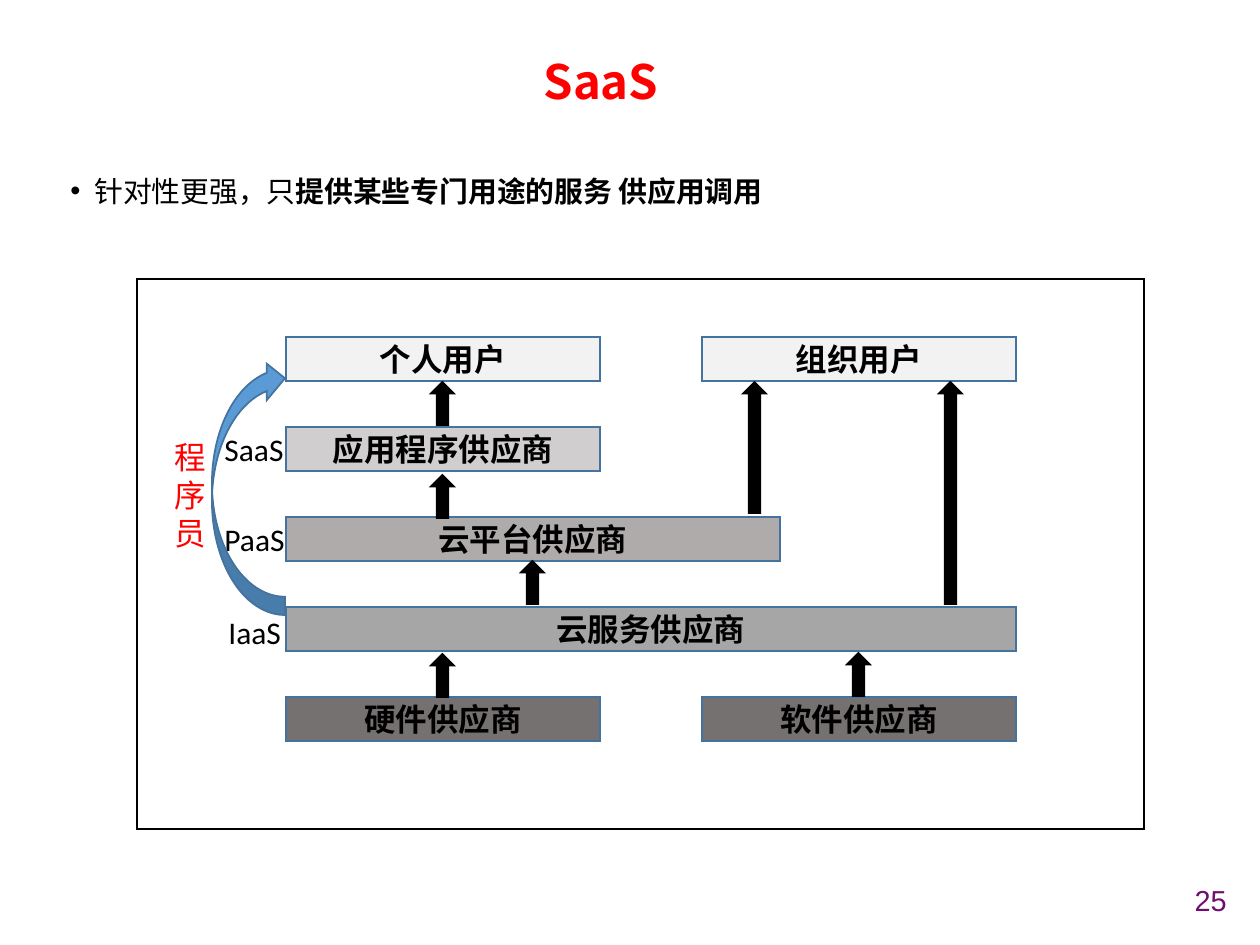
from dataclasses import dataclass

from lxml.etree import SubElement
from pptx import Presentation
from pptx.dml.color import RGBColor as Rgb
from pptx.enum.shapes import MSO_SHAPE as Kind
from pptx.enum.text import MSO_ANCHOR as Anchor, MSO_AUTO_SIZE as Auto, PP_ALIGN as Align
from pptx.oxml.ns import qn
from pptx.util import Emu, Pt

SCALE = 914400 / 126


def px(n):
    return Emu(round(n * SCALE))


@dataclass(frozen=True)
class Theme:
    black: str = "000000"
    white: str = "FFFFFF"
    red: str = "FF0000"
    edge: str = "43739E"
    blue: str = "5B9BD5"
    purple: str = "6F0E6F"
    user: str = "F2F2F2"
    app: str = "D0CECE"
    cloud: str = "AFABAB"
    infra: str = "A6A6A6"
    source: str = "767171"
    head: float = 27
    label: float = 18
    body: float = 16.5
    latin: str = "Calibri"
    han: str = "Noto Sans CJK SC"
    plain: str = "Arial"


def write(para, text, size, color, font, han, bold=False):
    run = para.add_run()
    run.text = text
    run.font.size = Pt(size)
    run.font.bold = bold
    run.font.name = font
    run.font.color.rgb = Rgb.from_string(color)
    SubElement(run.font._element, qn("a:ea"), typeface=han)


class Deck:
    def __init__(self, theme):
        self.theme = theme
        self.prs = Presentation()
        self.prs.slide_width, self.prs.slide_height = px(1260), px(945)
        self.slide = self.prs.slides.add_slide(self.prs.slide_layouts[5])

    def put(self, para, text, **style):
        t = self.theme
        base = dict(size=t.label, color=t.black, font=t.latin, han=t.han)
        write(para, text, **{**base, **style})

    def title(self, text, box):
        t = self.theme
        shape = self.slide.shapes.title
        shape.left, shape.top, shape.width, shape.height = map(px, box)
        frame = shape.text_frame
        frame.vertical_anchor = Anchor.MIDDLE
        para = frame.paragraphs[0]
        para.alignment = Align.CENTER
        para.line_spacing = 0.9
        self.put(para, text, size=t.head, color=t.red, font=t.han, bold=True)

    def text(self, lines, box, wrap=False, align=Align.LEFT, anchor=Anchor.TOP, **style):
        frame = self.slide.shapes.add_textbox(*map(px, box)).text_frame
        frame.word_wrap = wrap
        frame.auto_size = Auto.NONE if wrap else Auto.SHAPE_TO_FIT_TEXT
        frame.vertical_anchor = anchor
        for i, line in enumerate(lines):
            para = frame.add_paragraph() if i else frame.paragraphs[0]
            para.alignment = align
            self.put(para, line, **style)

    def bullet(self, parts, box):
        t = self.theme
        frame = self.slide.shapes.add_textbox(*map(px, box)).text_frame
        frame.word_wrap = True
        para = frame.paragraphs[0]
        para.line_spacing = Pt(21.6)
        props = para._p.get_or_add_pPr()
        props.set("marL", str(px(24)))
        props.set("indent", str(-px(24)))
        SubElement(props, qn("a:buFont"), typeface=t.plain)
        SubElement(props, qn("a:buChar"), char="•")
        for text, bold in parts:
            self.put(para, text, size=t.body, font=t.han, bold=bold)

    def shape(self, kind, box, fill, line):
        shape = self.slide.shapes.add_shape(kind, *map(px, box))
        shape.shadow.inherit = False
        shape.fill.solid()
        shape.fill.fore_color.rgb = Rgb.from_string(fill)
        shape.line.color.rgb = Rgb.from_string(line)
        shape.line.width = Pt(1)
        SubElement(shape._element.spPr.find(qn("a:ln")), qn("a:miter"), lim="800000")
        return shape

    def block(self, text, box, fill):
        shape = self.shape(Kind.RECTANGLE, box, fill, self.theme.edge)
        frame = shape.text_frame
        frame.vertical_anchor = Anchor.MIDDLE
        para = frame.paragraphs[0]
        para.alignment = Align.CENTER
        self.put(para, text, bold=True)

    def arrow(self, x, y, high):
        self.shape(Kind.UP_ARROW, (x, y, 23, high), self.theme.black, self.theme.black)


def main():
    t = Theme()
    deck = Deck(t)
    deck.title("SaaS", (58, 40, 1086, 89))
    deck.bullet(
        [("针对性更强，只", False), ("提供某些专门用途的服务 供应用调用", True)],
        (58, 164, 1144, 60),
    )
    deck.shape(Kind.RECTANGLE, (137, 279, 1007, 550), t.white, t.black)

    left, right, top, pitch, high = 286, 702, 337, 90, 44
    half, wide, full = 314, 494, 730
    blocks = [
        ("个人用户", left, 0, half, t.user),
        ("组织用户", right, 0, half, t.user),
        ("应用程序供应商", left, 1, half, t.app),
        ("云平台供应商", left, 2, wide, t.cloud),
        ("云服务供应商", left, 3, full, t.infra),
        ("硬件供应商", left, 4, half, t.source),
        ("软件供应商", right, 4, half, t.source),
    ]
    for text, x, row, width, fill in blocks:
        deck.block(text, (x, top + row * pitch, width, high), fill)

    for text, x, y in [("SaaS", 212, 424), ("PaaS", 212, 514), ("IaaS", 216, 607)]:
        deck.text([text], (x, y, 96, 50))

    for x, y, size in [
        (431, 382, 43),
        (431, 475, 43),
        (521, 561, 43),
        (431, 654, 43),
        (847, 653, 43),
        (743, 382, 131),
        (939, 382, 222),
    ]:
        deck.arrow(x, y, size)

    curve = deck.shape(Kind.CURVED_DOWN_ARROW, (121, 451, 255, 73), t.blue, t.edge)
    curve.rotation = 270
    deck.text("程序员", (162, 432, 58, 127), color=t.red)
    deck.text(
        ["25"], (1151, 880, 88, 39), wrap=True, align=Align.RIGHT,
        anchor=Anchor.MIDDLE, size=t.body, color=t.purple, font=t.plain,
    )
    deck.prs.save("out.pptx")


if __name__ == "__main__":
    main()
